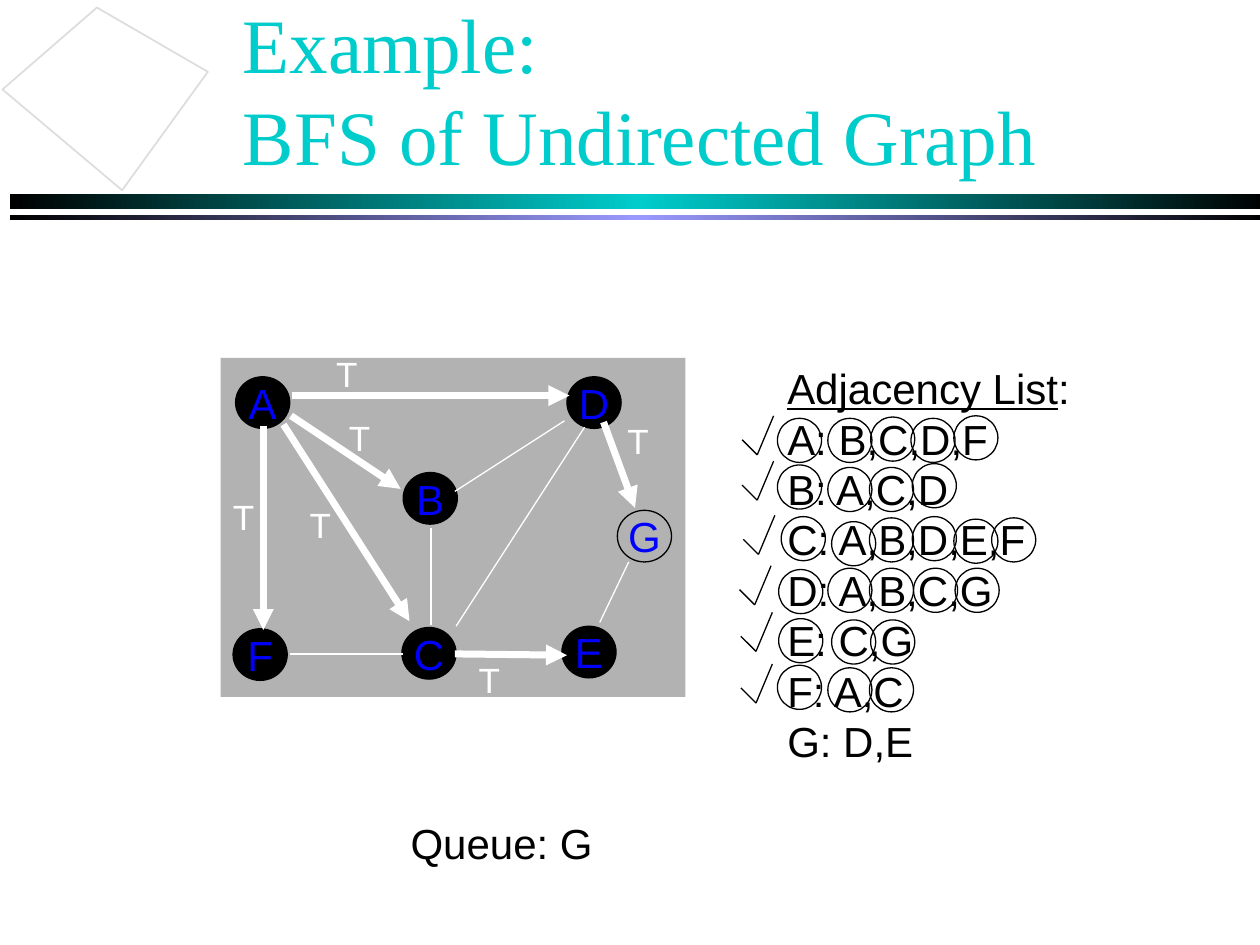
"""Build the slide showing a breadth-first search of an undirected graph."""
from lxml import etree
from pptx import Presentation
from pptx import util as u
from pptx.dml.color import RGBColor
from pptx.enum import shapes, text
from pptx.oxml.ns import qn

THEME = {
    "black": "000000", "white": "FFFFFF", "teal": "00CCCC", "violet": "9999FF",
    "panel": "B2B2B2", "node": "0000FF", "outline": "DDDDDD",
    "serif": "Times New Roman", "sans": "Arial",
    "title": 44, "body": 24, "label": 20, "thin": 0.75, "tree": 4,
}

TITLE = "Example: \vBFS of Undirected Graph"
HEADING = "Adjacency List"
QUEUE = "Queue: G"
BANDS = [(1.54, 0.12, "teal"), (1.71, 0.04, "violet")]
CORNER = [(0.97, 1.51), (0.02, 0.71), (0.77, 0.06), (1.65, 0.57)]

NODE_SIZE = (0.43, 0.41)
NODES = {
    "A": (1.87, 2.99), "B": (3.2, 3.75), "C": (3.19, 4.98), "D": (4.5, 2.99),
    "E": (4.46, 4.97), "F": (1.85, 4.99), "G": (4.9, 4.05),
}
UNVISITED = "G"
PLAIN_EDGES = [
    ((4.64, 3.39), (3.62, 4.97)), ((2.3, 5.19), (3.2, 5.19)),
    ((3.61, 3.9), (4.48, 3.34)), ((3.42, 4.19), (3.42, 4.96)),
    ((4.99, 4.46), (4.76, 4.94)),
]
TREE_EDGES = [
    ((2.31, 3.3), (3.18, 3.88), (2.67, 3.26)),
    ((2.25, 3.37), (3.25, 4.93), (2.36, 3.95)),
    ((2.32, 3.14), (4.52, 3.14), (2.57, 2.75)),
    ((2.09, 3.38), (2.09, 5), (1.75, 3.88)),
    ((3.61, 5.19), (4.5, 5.2), (3.7, 5.18)),
    ((4.79, 3.35), (5.04, 4.03), (4.88, 3.28)),
]

RING = 0.35
CHECK_START, CHECK_END = (-0.12, -0.12), (0.13, -0.31)
ADJACENCY = [
    ("A: B,C,D,F", (6.01, 3.61),
     [(6.17, 3.32), (6.57, 3.32), (6.91, 3.31), (7.23, 3.32), (7.57, 3.3)]),
    ("B: A,C,D", (6.01, 3.97),
     [(6.17, 3.69), (6.57, 3.71), (6.9, 3.71), (7.24, 3.68)]),
    ("C: A,B,D,E,F", (6.02, 4.4),
     [(6.2, 4.1), (6.6, 4.14), (6.9, 4.11), (7.24, 4.1), (7.57, 4.12), (7.87, 4.11)]),
    ("D: A,B,C,G", (5.99, 4.8),
     [(6.18, 4.52), (6.57, 4.51), (6.9, 4.51), (7.25, 4.51), (7.58, 4.51)]),
    ("E: C,G", (6, 5.17), [(6.18, 4.91), (6.6, 4.92), (6.91, 4.92)]),
    ("F: A,C", (6, 5.58), [(6.17, 5.28), (6.57, 5.3), (6.9, 5.3)]),
    ("G: D,E", None, []),
]


def color(name):
    return RGBColor.from_string(THEME[name])


def write(paragraph, words, size, ink, face="sans", **extra):
    run = paragraph.add_run()
    run.text = words
    formats = {"size": u.Pt(THEME[size]), "name": THEME[face], **extra}
    for key, value in formats.items():
        setattr(run.font, key, value)
    run.font.color.rgb = color(ink)
    return run


def text_area(slide, box, **formats):
    frame = slide.shapes.add_textbox(*map(u.Inches, box)).text_frame
    for key, value in {"word_wrap": True, **formats}.items():
        setattr(frame, key, value)
    return frame


def outline(shape, fill=None, line=None, width=THEME["thin"]):
    shape.shadow.inherit = False
    if fill:
        shape.fill.solid()
        shape.fill.fore_color.rgb = color(fill)
    else:
        shape.fill.background()
    if line:
        shape.line.color.rgb = color(line)
        shape.line.width = u.Pt(width)
    else:
        shape.line.fill.background()


def preset(slide, kind, box, **look):
    shape = slide.shapes.add_shape(kind, *map(u.Inches, box))
    outline(shape, **look)
    return shape


def stroke(slide, start, end, ink, width="thin", arrow=False):
    edge = slide.shapes.add_connector(
        shapes.MSO_CONNECTOR.STRAIGHT, *map(u.Inches, (*start, *end)))
    edge.line.color.rgb = color(ink)
    edge.line.width = u.Pt(THEME[width])
    if arrow:
        etree.SubElement(edge.line._get_or_add_ln(), qn("a:tailEnd"), type="triangle")
    etree.SubElement(edge._element.spPr, qn("a:effectLst"))


def draw_bands(slide):
    for top, height, middle in BANDS:
        band = preset(slide, shapes.MSO_SHAPE.RECTANGLE, (0.08, top, 9.99, height))
        band.fill.gradient()
        band.fill.gradient_angle = 0
        stops = band._element.spPr.find(".//" + qn("a:gsLst"))
        for stop in list(stops):
            stops.remove(stop)
        for percent, name in ((0, "black"), (50, middle), (100, "black")):
            stop = etree.SubElement(stops, qn("a:gs"), pos=str(percent * 1000))
            etree.SubElement(stop, qn("a:srgbClr"), val=THEME[name])


def draw_title(slide):
    frame = text_area(slide, (1.83, 0.08, 8.5, 1.25),
                      vertical_anchor=text.MSO_ANCHOR.MIDDLE)
    for index, line in enumerate(TITLE.split("\v")):
        if index:
            frame.paragraphs[0].add_line_break()
        run = write(frame.paragraphs[0], line, "title", "teal", "serif")
        effects = etree.Element(qn("a:effectLst"))
        shadow = etree.SubElement(effects, qn("a:outerShdw"), dist="25400", dir="2700000")
        etree.SubElement(shadow, qn("a:srgbClr"), val=THEME["black"])
        run._r.rPr.find(qn("a:solidFill")).addnext(effects)


def draw_graph(slide):
    preset(slide, shapes.MSO_SHAPE.RECTANGLE, (1.75, 2.84, 3.69, 2.69), fill="panel")
    for letter, place in NODES.items():
        fill = "panel" if letter == UNVISITED else "black"
        node = preset(slide, shapes.MSO_SHAPE.OVAL, (*place, *NODE_SIZE),
                      fill=fill, line="black")
        node.text_frame.word_wrap = False
        node.text_frame.vertical_anchor = text.MSO_ANCHOR.MIDDLE
        node.text_frame.paragraphs[0].alignment = text.PP_ALIGN.CENTER
        write(node.text_frame.paragraphs[0], letter, "body", "node")
    for start, end in PLAIN_EDGES:
        stroke(slide, start, end, "white")
    for start, end, label in TREE_EDGES:
        stroke(slide, start, end, "white", "tree", arrow=True)
        frame = text_area(slide, (*label, 0.48, 0.44))
        write(frame.paragraphs[0], "T", "label", "white")


def draw_adjacency(slide):
    frame = text_area(slide, (6.15, 2.83, 2.44, 3.3), word_wrap=False,
                      auto_size=text.MSO_AUTO_SIZE.SHAPE_TO_FIT_TEXT)
    write(frame.paragraphs[0], HEADING, "body", "black", underline=True)
    write(frame.paragraphs[0], ":", "body", "black")
    for entry, tip, rings in ADJACENCY:
        write(frame.add_paragraph(), entry, "body", "black")
        for place in rings:
            preset(slide, shapes.MSO_SHAPE.OVAL, (*place, RING, RING), line="black")
        if tip:
            for dx, dy in (CHECK_START, CHECK_END):
                stroke(slide, (tip[0] + dx, tip[1] + dy), tip, "black")


def main():
    deck = Presentation()
    deck.slide_width, deck.slide_height = u.Inches(10), u.Inches(7.5)
    slide = deck.slides.add_slide(deck.slide_layouts[6])
    draw_bands(slide)
    first, *others = [tuple(map(u.Inches, point)) for point in CORNER]
    builder = slide.shapes.build_freeform(*first)
    builder.add_line_segments(others, close=True)
    outline(builder.convert_to_shape(), fill="white", line="outline", width=1)
    draw_title(slide)
    draw_graph(slide)
    draw_adjacency(slide)
    queue = text_area(slide, (3.16, 6.44, 2.82, 0.5))
    write(queue.paragraphs[0], QUEUE, "body", "black")
    deck.save("out.pptx")


if __name__ == "__main__":
    main()
